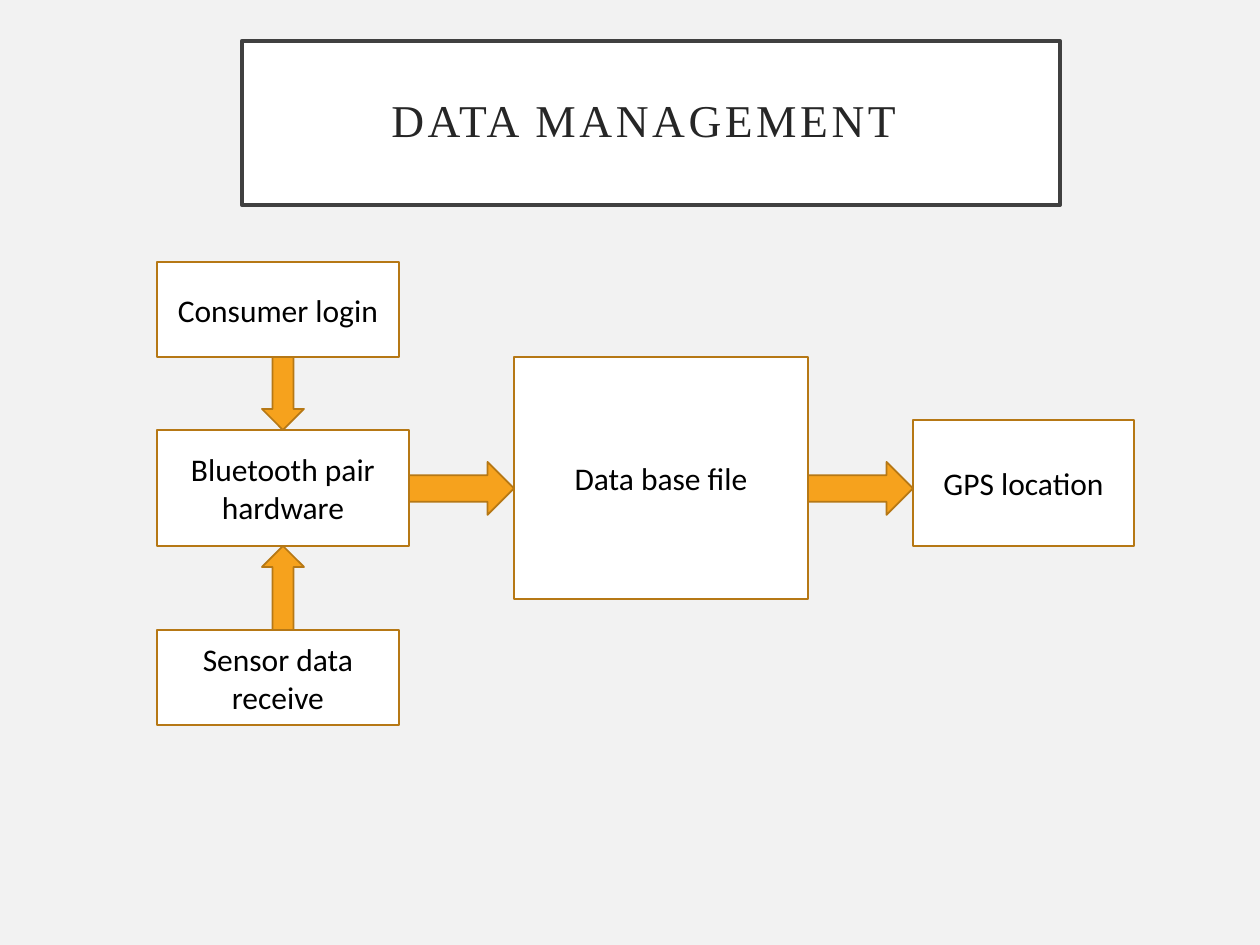
from pptx import Presentation
from pptx.dml.color import RGBColor
from pptx.enum.shapes import MSO_SHAPE
from pptx.enum.text import MSO_ANCHOR, PP_ALIGN
from pptx.util import Pt

PX = 914400 // 126
RECT = MSO_SHAPE.RECTANGLE
RIGHT, DOWN, UP = MSO_SHAPE.RIGHT_ARROW, MSO_SHAPE.DOWN_ARROW, MSO_SHAPE.UP_ARROW
MIDDLE, CENTER = MSO_ANCHOR.MIDDLE, PP_ALIGN.CENTER


def rgb(value):
    return RGBColor.from_string(value)


def add_block(kind, box, fill, line, width, text="", font="Calibri", size=18, color="000000"):
    sp = s.shapes.add_shape(kind, *(v * PX for v in box))
    sp.shadow.inherit = False
    sp.fill.solid()
    sp.fill.fore_color.rgb = rgb(fill)
    sp.line.color.rgb = rgb(line)
    sp.line.width = Pt(width)
    if text:
        tf = sp.text_frame
        tf.word_wrap = True
        tf.vertical_anchor = MIDDLE
        p = tf.paragraphs[0]
        p.alignment = CENTER
        r = p.add_run()
        r.text = text
        for name, value in {"name": font, "size": Pt(size)}.items():
            setattr(r.font, name, value)
        r.font.color.rgb = rgb(color)
    return sp


prs = Presentation()
prs.slide_width, prs.slide_height = 1260 * PX, 945 * PX
s = prs.slides.add_slide(prs.slide_layouts[6])
s.background.fill.solid()
s.background.fill.fore_color.rgb = rgb("F2F2F2")

title = add_block(RECT, (242, 41, 818, 164), "FFFFFF", "404040", 2.5,
                  "DATA MANAGEMENT ", "Times New Roman", 26, "262626")
tf = title.text_frame
for side in ("left", "top", "right", "bottom"):
    setattr(tf, "margin_" + side, 25 * PX)
p = tf.paragraphs[0]
p.line_spacing = 0.9
p.runs[0].font._element.set("spc", "200")

boxes = [
    ("Data base file", (514, 357, 294, 242)),
    ("Consumer login", (157, 262, 242, 95)),
    ("Bluetooth pair hardware", (157, 430, 252, 116)),
    ("Sensor data receive", (157, 630, 242, 95)),
    ("GPS location", (913, 420, 221, 126)),
]
for text, box in boxes:
    add_block(RECT, box, "FFFFFF", "B67815", 1, text)

arrows = [
    (RIGHT, (409, 462, 105, 53)),
    (RIGHT, (808, 462, 105, 53)),
    (DOWN, (262, 357, 42, 73)),
    (UP, (262, 546, 42, 84)),
]
for kind, box in arrows:
    add_block(kind, box, "F6A21D", "B67815", 1)

prs.save("out.pptx")
